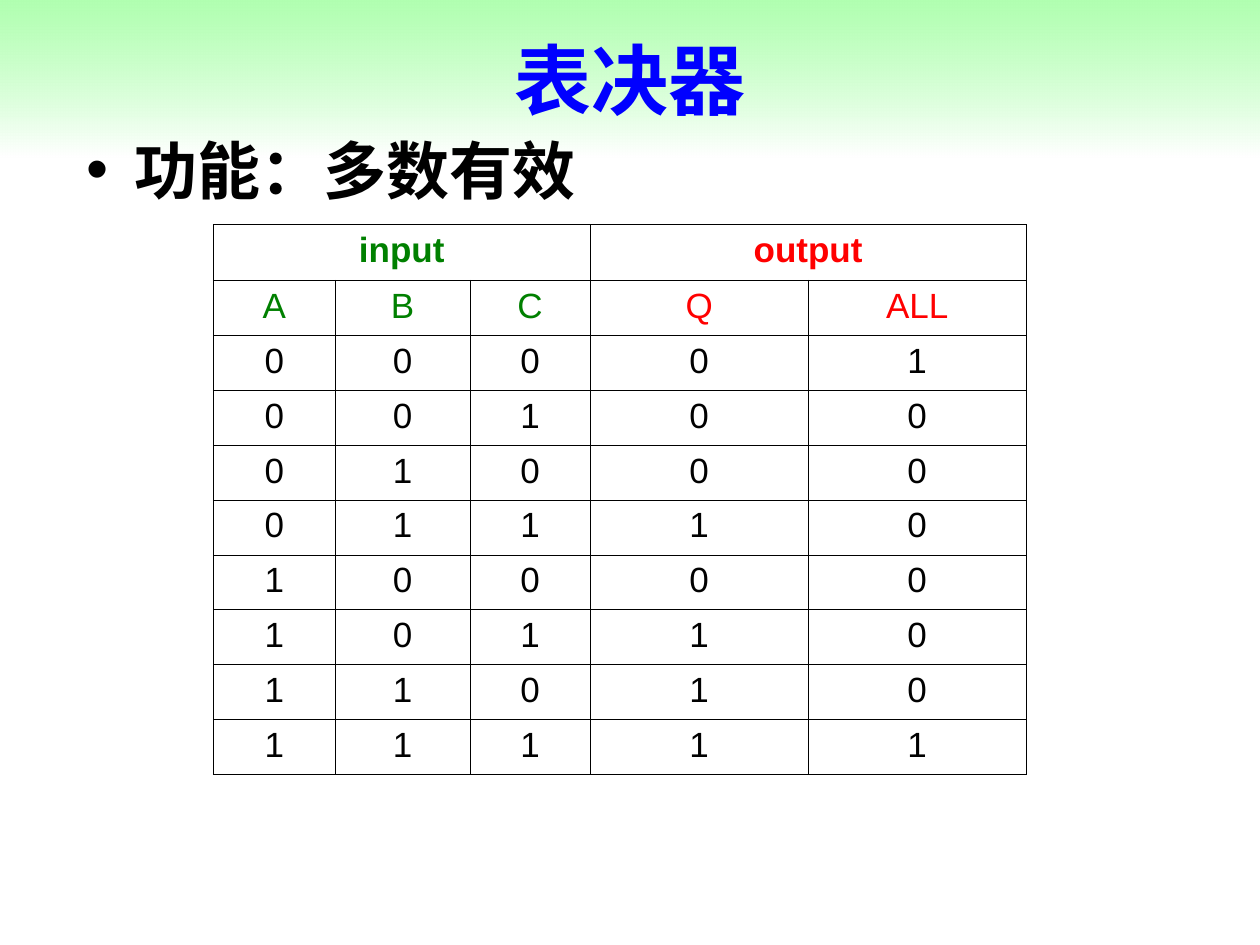
from itertools import product

from lxml import etree
from pptx import Presentation
from pptx.dml.color import RGBColor
from pptx.enum.text import MSO_ANCHOR, MSO_AUTO_SIZE, PP_ALIGN
from pptx.oxml.ns import qn
from pptx.util import Pt

CENTER = PP_ALIGN.CENTER
LEFT = PP_ALIGN.LEFT
MIDDLE = MSO_ANCHOR.MIDDLE
TOP = MSO_ANCHOR.TOP
NO_AUTOFIT = MSO_AUTO_SIZE.NONE

FONT = "Arial"
COLORS = {
    "band": "99FF99",
    "paper": "FFFFFF",
    "title": "0000FF",
    "text": "000000",
    "input": "008000",
    "output": "FF0000",
}
INPUTS = ["A", "B", "C"]
OUTPUTS = ["Q", "ALL"]
COLUMN_WIDTHS = [69.7, 77.1, 68.6, 124.6, 124.6]
HEADER_HEIGHT = 32
ROW_HEIGHT = 31.4


def rgb(name):
    return RGBColor.from_string(COLORS[name])


def write(frame, text, size, color, align, bold=False):
    frame.text = text
    paragraph = frame.paragraphs[0]
    paragraph.alignment = align
    paragraph.space_before = Pt(0)
    font = paragraph.runs[0].font
    font.name, font.size, font.bold = FONT, Pt(size), bold
    font.color.rgb = rgb(color)


def fill_placeholder(placeholder, box, text, size, color, align, anchor):
    placeholder.left, placeholder.top, placeholder.width, placeholder.height = map(Pt, box)
    frame = placeholder.text_frame
    frame.auto_size = NO_AUTOFIT
    frame.vertical_anchor = anchor
    write(frame, text, size, color, align, bold=True)


def fade_down(shape):
    """Fill the shape with a translucent band colour that fades to paper."""
    shape.fill.gradient()
    shape.fill.gradient_angle = 270
    start, end = shape.fill.gradient_stops
    start.color.rgb, end.color.rgb = rgb("band"), rgb("paper")
    start.position, end.position = 0, 1
    band = next(shape.element.iter(qn("a:srgbClr")))
    etree.SubElement(band, qn("a:alpha"), val="76000")


def add_borders(cell):
    properties = cell._tc.get_or_add_tcPr()
    for position, side in enumerate(["a:lnL", "a:lnR", "a:lnT", "a:lnB"]):
        line = etree.Element(qn(side), w=str(Pt(0.45)))
        solid = etree.SubElement(line, qn("a:solidFill"))
        etree.SubElement(solid, qn("a:srgbClr"), val=COLORS["text"])
        properties.insert(position, line)


def truth_rows():
    """Each input combination with its majority vote and unanimity flag."""
    for votes in product([0, 1], repeat=len(INPUTS)):
        majority = int(sum(votes) > len(votes) / 2)
        unanimous = int(len(set(votes)) == 1)
        yield [*votes, majority, unanimous]


def add_truth_table(slide):
    groups = ["input"] * len(INPUTS) + ["output"] * len(OUTPUTS)
    rows = [groups, INPUTS + OUTPUTS, *truth_rows()]
    height = HEADER_HEIGHT + ROW_HEIGHT * (len(rows) - 1)
    table = slide.shapes.add_table(
        len(rows), len(groups), Pt(121.9), Pt(128.2), Pt(sum(COLUMN_WIDTHS)), Pt(height)
    ).table
    table.first_row = table.horz_banding = False
    for column, width in zip(table.columns, COLUMN_WIDTHS):
        column.width = Pt(width)
    for row in table.rows:
        row.height = Pt(ROW_HEIGHT)
    table.rows[0].height = Pt(HEADER_HEIGHT)

    split = len(INPUTS)
    table.cell(0, 0).merge(table.cell(0, split - 1))
    table.cell(0, split).merge(table.cell(0, len(groups) - 1))
    for r, values in enumerate(rows):
        for c, value in enumerate(values):
            cell = table.cell(r, c)
            cell.fill.solid()
            cell.fill.fore_color.rgb = rgb("paper")
            add_borders(cell)
            if not cell.is_spanned:
                color = groups[c] if r < 2 else "text"
                write(cell.text_frame, str(value), 20, color, CENTER, bold=r == 0)


def main():
    presentation = Presentation()
    presentation.slide_width, presentation.slide_height = Pt(720), Pt(540)
    slide = presentation.slides.add_slide(presentation.slide_layouts[1])
    title, body = slide.placeholders
    fill_placeholder(title, (0, 0, 720, 90), "表决器", 44, "title", CENTER, MIDDLE)
    fade_down(title)
    fill_placeholder(body, (42.5, 71.3, 648, 420), "功能：多数有效", 36, "text", LEFT, TOP)
    add_truth_table(slide)
    presentation.save("out.pptx")


if __name__ == "__main__":
    main()
